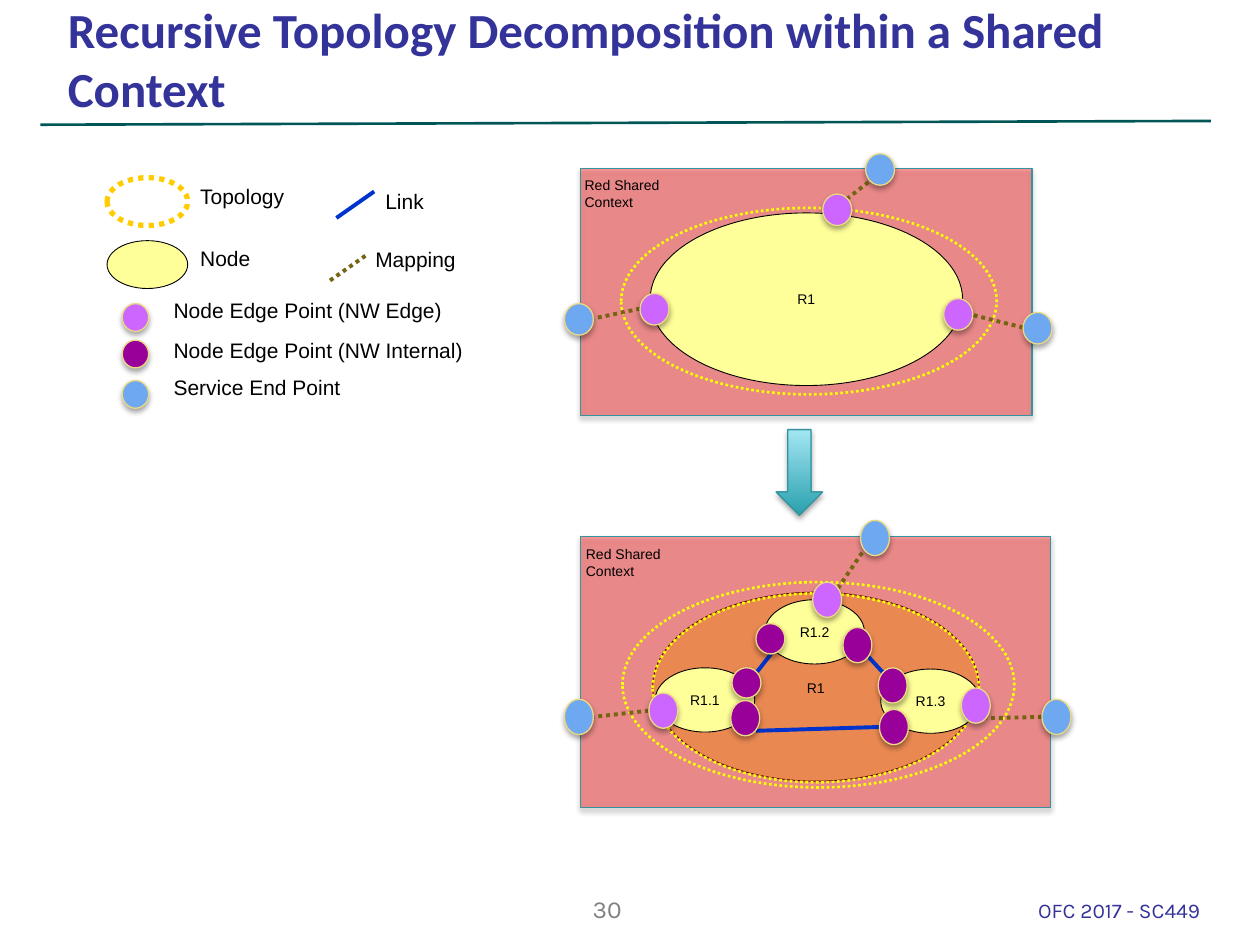
"""Build the slide on recursive topology decomposition within a shared context."""
from lxml.etree import SubElement
from pptx import Presentation
from pptx.dml.color import RGBColor
from pptx.enum.dml import MSO_LINE
from pptx.enum.shapes import MSO_CONNECTOR, MSO_SHAPE
from pptx.enum.text import MSO_ANCHOR as Anchor, PP_ALIGN as Align
from pptx.oxml.ns import qn
from pptx.util import Cm, Pt

BLACK = RGBColor(0x00, 0x00, 0x00)
GREY = RGBColor(0x80, 0x80, 0x80)
NAVY = RGBColor(0x33, 0x33, 0x99)
RULE_GREEN = RGBColor(0x00, 0x55, 0x57)
CONTEXT_RED = RGBColor(0xFF, 0x00, 0x00)
TEAL = RGBColor(0x35, 0x93, 0x9E)
ARROW_DARK = RGBColor(0x2A, 0xA0, 0xAE)
ARROW_LIGHT = RGBColor(0xA3, 0xE6, 0xF3)
NODE_YELLOW = RGBColor(0xFF, 0xFF, 0x99)
TOPOLOGY_YELLOW = RGBColor(0xFF, 0xFF, 0x00)
TOPOLOGY_GOLD = RGBColor(0xFF, 0xCC, 0x00)
POINT_EDGE = RGBColor(0xEB, 0xDA, 0x84)
NW_EDGE = RGBColor(0xCC, 0x66, 0xFF)
NW_INTERNAL = RGBColor(0x99, 0x00, 0x99)
SERVICE_END = RGBColor(0x6D, 0xA8, 0xF0)
LINK_BLUE = RGBColor(0x00, 0x33, 0xCC)
MAPPING_BROWN = RGBColor(0x75, 0x65, 0x13)


def cm(inches):
    return Cm(inches * 2.54)


def write(shape, text, size, color=BLACK, font="Arial", bold=False,
          align=Align.LEFT, anchor=Anchor.TOP, inset=None):
    frame = shape.text_frame
    frame.word_wrap = True
    frame.vertical_anchor = anchor
    if inset is not None:
        frame.margin_left = frame.margin_right = cm(inset)
        frame.margin_top = frame.margin_bottom = cm(inset)
    frame.text = text
    paragraph = frame.paragraphs[0]
    paragraph.alignment = align
    run_font = paragraph.runs[0].font
    run_font.name, run_font.size, run_font.bold = font, Pt(size), bold
    run_font.color.rgb = color


def add_label(slide, box, text, size=12, **style):
    label = slide.shapes.add_textbox(*map(cm, box))
    write(label, text, size, **style)


def add_figure(slide, kind, box, fill, line, width, shadow=False):
    figure = slide.shapes.add_shape(kind, *map(cm, box))
    figure.shadow.inherit = False
    if fill is None:
        figure.fill.background()
    else:
        figure.fill.solid()
        figure.fill.fore_color.rgb = fill
    figure.line.color.rgb = line
    figure.line.width = Pt(width)
    if shadow:
        effects = figure._element.spPr.find(qn("a:effectLst"))
        outer = SubElement(effects, qn("a:outerShdw"), blurRad=str(Pt(3.1)),
                           dist=str(Pt(1.8)), dir="5400000", rotWithShape="0")
        tint = SubElement(outer, qn("a:srgbClr"), val="000000")
        SubElement(tint, qn("a:alpha"), val="35000")
    return figure


def add_context(slide, box, caption_box):
    context = add_figure(slide, MSO_SHAPE.RECTANGLE, box, CONTEXT_RED, TEAL, 0.75, True)
    color = context._element.spPr.find(qn("a:solidFill"))[0]
    SubElement(color, qn("a:alpha"), val="38000")
    add_label(slide, caption_box, "Red Shared Context", 8, inset=0)


def add_node(slide, box, name=None):
    node = add_figure(slide, MSO_SHAPE.OVAL, box, NODE_YELLOW, BLACK, 0.5)
    if name:
        write(node, name, 8, align=Align.CENTER, anchor=Anchor.MIDDLE, inset=0.05)


def add_topology(slide, box, color=TOPOLOGY_YELLOW, width=1.5):
    topology = add_figure(slide, MSO_SHAPE.OVAL, box, None, color, width)
    topology.line.dash_style = MSO_LINE.ROUND_DOT
    return topology


def add_points(slide, color, places, width=0.23, height=0.28):
    for left, top in places:
        add_figure(slide, MSO_SHAPE.OVAL, (left, top, width, height),
                   color, POINT_EDGE, 0.75, True)


def add_line(slide, ends, color, width=2.25, dotted=False):
    line = slide.shapes.add_connector(MSO_CONNECTOR.STRAIGHT, *map(cm, ends))
    line.line.color.rgb = color
    line.line.width = Pt(width)
    if dotted:
        line.line.dash_style = MSO_LINE.ROUND_DOT
    SubElement(line._element.spPr, qn("a:effectLst"))


def add_mappings(slide, *mappings):
    for ends in mappings:
        add_line(slide, ends, MAPPING_BROWN, dotted=True)


def add_legend(slide):
    add_topology(slide, (0.85, 1.41, 0.64, 0.38), TOPOLOGY_GOLD, 3)
    add_node(slide, (0.85, 1.91, 0.64, 0.38))
    add_line(slide, (2.97, 1.52, 2.67, 1.73), LINK_BLUE)
    add_mappings(slide, (2.9, 2.03, 2.6, 2.24))
    for left, top, text in ((1.49, 1.41, "Topology"), (1.49, 1.9, "Node"),
                            (2.96, 1.45, "Link"), (2.88, 1.91, "Mapping")):
        add_label(slide, (left, top, 1.18, 0.4), text)
    for color, point_top, text_top, text in (
            (NW_EDGE, 2.41, 2.31, "Node Edge Point (NW Edge)"),
            (NW_INTERNAL, 2.7, 2.63, "Node Edge Point (NW Internal)"),
            (SERVICE_END, 3.02, 2.92, "Service End Point")):
        add_points(slide, color, [(0.97, point_top)], 0.21, 0.22)
        add_label(slide, (1.28, text_top, 3.36, 0.4), text)


def add_abstract_view(slide):
    add_context(slide, (4.61, 1.34, 3.58, 1.96), (4.64, 1.4, 0.86, 0.41))
    add_topology(slide, (4.93, 1.65, 2.98, 1.48))
    add_node(slide, (5.16, 1.69, 2.48, 1.37), "R1")
    add_mappings(slide, (5.08, 2.45, 4.7, 2.53), (8.12, 2.6, 7.72, 2.5),
                 (6.72, 1.58, 6.9, 1.44))
    add_points(slide, NW_EDGE, [(5.08, 2.33), (6.53, 1.54), (7.49, 2.37)], height=0.25)
    add_points(slide, SERVICE_END, [(4.48, 2.41), (8.12, 2.48), (6.87, 1.22)], height=0.25)


def add_decomposition_arrow(slide):
    arrow = add_figure(slide, MSO_SHAPE.DOWN_ARROW, (6.16, 3.41, 0.37, 0.68),
                       ARROW_DARK, TEAL, 0.75, True)
    arrow.fill.gradient()
    arrow.fill.gradient_angle = 90
    for stop, color in zip(arrow.fill.gradient_stops, (ARROW_DARK, ARROW_LIGHT)):
        stop.color.rgb = color


def add_decomposed_view(slide):
    add_node(slide, (5.18, 4.7, 2.59, 1.5))
    add_context(slide, (4.61, 4.26, 3.73, 2.15), (4.65, 4.33, 0.9, 0.45))
    add_topology(slide, (4.94, 4.62, 3.11, 1.63))
    inner = add_topology(slide, (5.18, 4.71, 2.59, 1.5))
    write(inner, "R1", 8, align=Align.CENTER, anchor=Anchor.MIDDLE, inset=0.05)
    for link in ((6.12, 5.19, 6.01, 5.33), (6.98, 5.77, 6, 5.8), (7.01, 5.34, 6.89, 5.21)):
        add_line(slide, link, LINK_BLUE)
    for left, top, name in ((5.2, 5.3, "R1.1"), (6.07, 4.76, "R1.2"), (6.99, 5.31, "R1.3")):
        add_node(slide, (left, top, 0.79, 0.51), name)
    add_points(slide, NW_INTERNAL, [(5.81, 5.3), (6, 4.95)], height=0.24)
    add_points(slide, NW_INTERNAL, [(5.8, 5.56), (6.69, 4.98), (6.97, 5.3), (6.98, 5.63)])
    add_mappings(slide, (5.15, 5.64, 4.71, 5.69), (8.27, 5.69, 7.83, 5.7),
                 (6.65, 4.67, 6.86, 4.36))
    add_points(slide, SERVICE_END, [(6.83, 4.13), (4.48, 5.55), (8.27, 5.55)])
    add_points(slide, NW_EDGE, [(5.15, 5.5), (7.63, 5.46), (6.45, 4.62)])


def main():
    deck = Presentation()
    deck.slide_width, deck.slide_height = cm(10), cm(7.5)
    slide = deck.slides.add_slide(deck.slide_layouts[6])
    add_line(slide, (0.32, 0.99, 9.61, 0.96), RULE_GREEN, 1.5)
    add_label(slide, (0.44, 0.43, 9, 0.55),
              "Recursive Topology Decomposition within a Shared Context", 28,
              color=NAVY, font="Calibri", bold=True, anchor=Anchor.BOTTOM)
    add_legend(slide)
    add_abstract_view(slide)
    add_decomposition_arrow(slide)
    add_decomposed_view(slide)
    add_label(slide, (4.34, 7.05, 0.96, 0.4), "30", 14,
              color=GREY, font="Karla", align=Align.CENTER)
    add_label(slide, (8.14, 7.07, 1.8, 0.28), "OFC 2017 - SC449", color=NAVY, font="Karla")
    deck.save("out.pptx")


if __name__ == "__main__":
    main()
